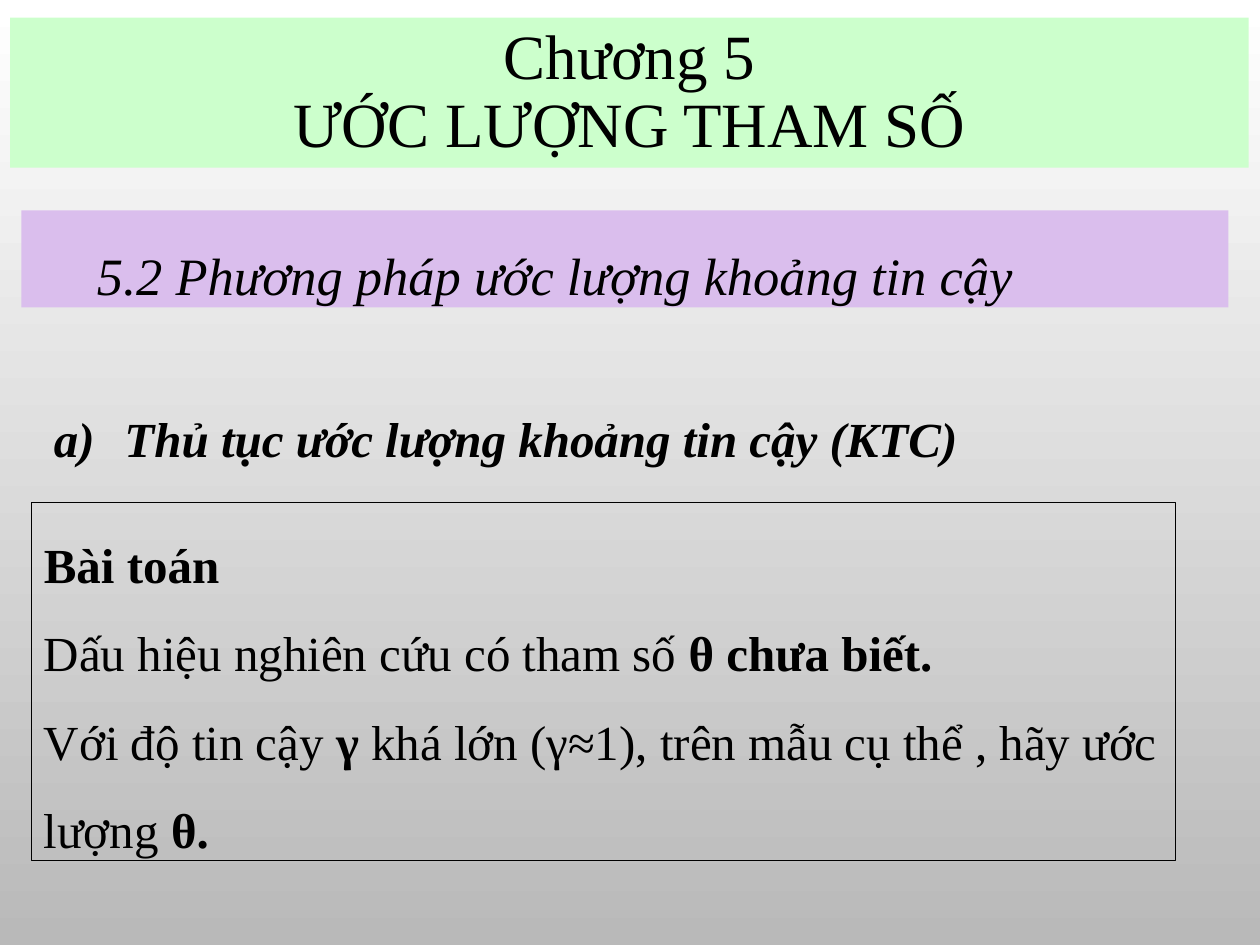
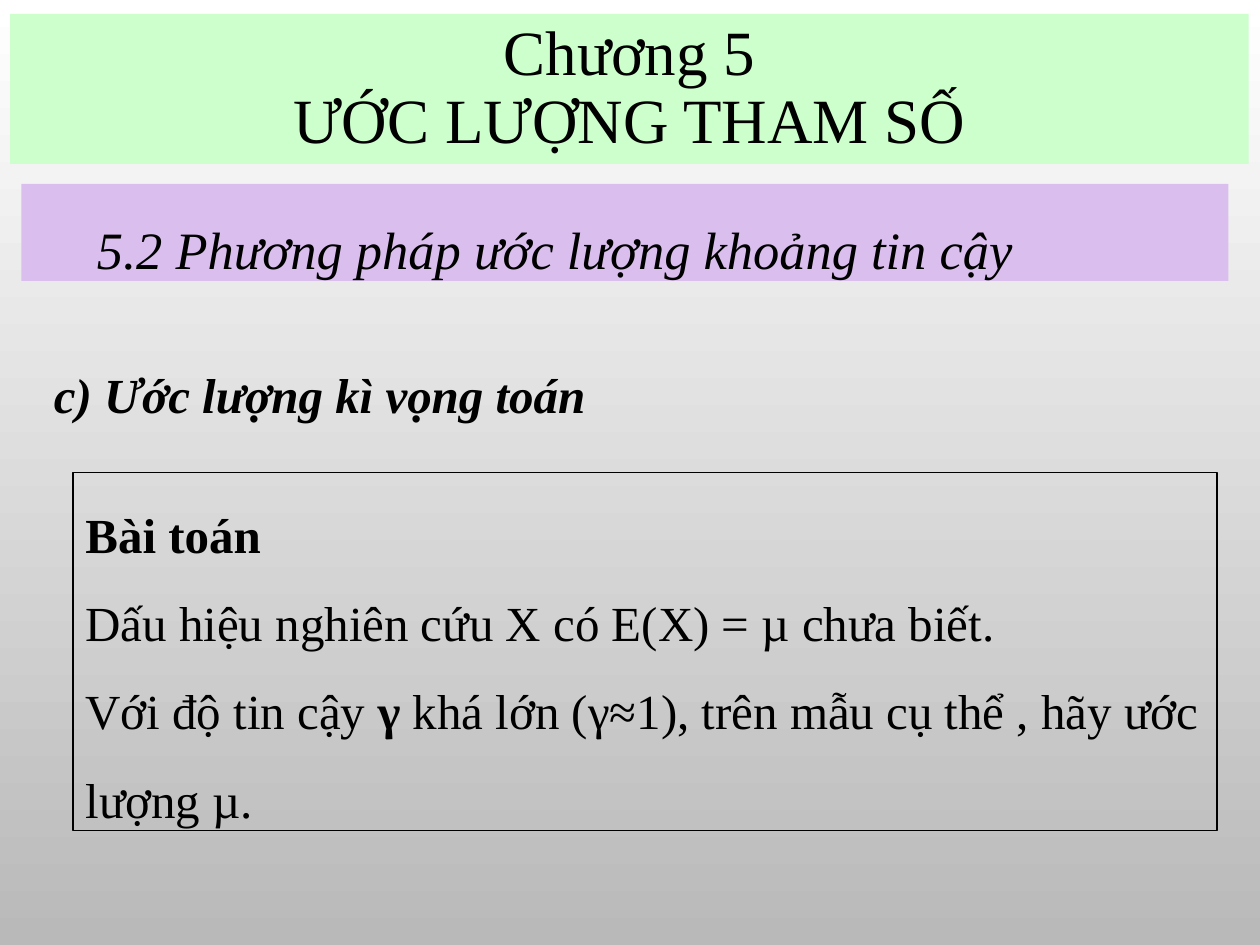
import copy

import pptx
import pptx.dml.color
import pptx.enum.shapes
import pptx.enum.text
import pptx.oxml
import pptx.oxml.ns
import pptx.util

Inches = pptx.util.Inches
Pt = pptx.util.Pt
PP_ALIGN = pptx.enum.text.PP_ALIGN

COLORS = {
    "text": "000000",
    "title_band": "CCFFCC",
    "section_band": "DABEED",
    "bg_top": "FFFFFF",
    "bg_bottom": "B9B9B9",
}
BODY = {"name": "Times New Roman", "size": Pt(28), "bold": False, "italic": False}
TITLE = {**BODY, "size": Pt(36)}
SECTION = {**BODY, "size": Pt(30), "italic": True}
HEADING = {**BODY, "bold": True, "italic": True}
FRAME = {
    "word_wrap": True,
    "vertical_anchor": pptx.enum.text.MSO_ANCHOR.MIDDLE,
    "auto_size": pptx.enum.text.MSO_AUTO_SIZE.SHAPE_TO_FIT_TEXT,
}
CHAPTER = "Chương 5\vƯỚC LƯỢNG THAM SỐ"
SECTION_NAME = "5.2 Phương pháp ước lượng khoảng tin cậy"


def rgb(key):
    return pptx.dml.color.RGBColor.from_string(COLORS[key])


def apply(target, values):
    for name, value in values.items():
        setattr(target, name, value)


def format_run(r, style):
    apply(r.font, style)
    r.font.color.rgb = rgb("text")


def format_paragraph(p, spacing=1.5, align=PP_ALIGN.LEFT, margin=0, indent=0):
    pPr = p._p.get_or_add_pPr()
    pPr.set("marL", str(Inches(margin)))
    pPr.set("indent", str(Inches(indent)))
    apply(p, {"line_spacing": spacing, "alignment": align})


def fill_shape(s, key):
    s.fill.solid()
    s.fill.fore_color.rgb = rgb(key)


def set_background(master):
    fill = master.background.fill
    fill.gradient()
    fill.gradient_angle = 270
    for stop, position, key in zip(fill.gradient_stops, (0, 1), ("bg_top", "bg_bottom")):
        stop.position = position
        stop.color.rgb = rgb(key)


def add_title(slide, top):
    sp = slide.shapes.title
    apply(sp, {"left": Inches(0.08), "top": Inches(top),
               "width": Inches(9.83), "height": Inches(1.19)})
    fill_shape(sp, "title_band")
    apply(sp.text_frame, FRAME)
    p = sp.text_frame.paragraphs[0]
    p.text = CHAPTER
    format_paragraph(p, spacing=0.9, align=PP_ALIGN.CENTER)
    for r in p.runs:
        format_run(r, TITLE)
    for br in p._p.findall(pptx.oxml.ns.qn("a:br")):
        br.append(copy.deepcopy(p.runs[0].font._element))


def add_rect(slide, left, top, width, height):
    sp = slide.shapes.add_shape(
        pptx.enum.shapes.MSO_SHAPE.RECTANGLE,
        Inches(left), Inches(top), Inches(width), Inches(height))
    sp.shadow.inherit = False
    apply(sp.text_frame, FRAME)
    return sp


def add_section_band(slide, top):
    sp = add_rect(slide, 0.17, top, 9.58, 0.77)
    fill_shape(sp, "section_band")
    sp.line.fill.background()
    p = sp.text_frame.paragraphs[0]
    r = p.add_run()
    r.text = SECTION_NAME
    format_paragraph(p, indent=0.5)
    format_run(r, SECTION)


def add_heading(slide, top, width, text, numbered=False):
    tb = slide.shapes.add_textbox(Inches(0.33), Inches(top), Inches(width), Inches(0.72))
    apply(tb.text_frame, FRAME)
    p = tb.text_frame.paragraphs[0]
    if numbered:
        bullet = pptx.oxml.parse_xml(
            f'<a:buAutoNum {pptx.oxml.ns.nsdecls("a")} type="alphaLcParenR"/>')
        p._p.get_or_add_pPr().append(bullet)
        format_paragraph(p, margin=0.56, indent=-0.56)
    else:
        format_paragraph(p)
    r = p.add_run()
    r.text = text
    format_run(r, HEADING)


def add_problem_box(slide, left, top, unknown, goal):
    sp = add_rect(slide, left, top, 9.08, 2.84)
    sp.fill.background()
    sp.line.color.rgb = rgb("text")
    sp.line.width = Pt(0.75)
    lines = [
        [("Bài toán", True)],
        unknown,
        [("Với độ tin cậy ", False), ("γ ", True), *goal],
    ]
    tf = sp.text_frame
    for i, runs in enumerate(lines):
        p = tf.add_paragraph() if i else tf.paragraphs[0]
        format_paragraph(p)
        for text, bold in runs:
            r = p.add_run()
            r.text = text
            format_run(r, {**BODY, "bold": bold})


def add_chapter_slide(prs, title_top, section_top):
    s = prs.slides.add_slide(prs.slide_layouts[5])
    add_title(s, title_top)
    add_section_band(s, section_top)
    return s


def main():
    prs = pptx.Presentation()
    prs.slide_width, prs.slide_height = Inches(10), Inches(7.5)
    set_background(prs.slide_master)
    request = "khá lớn (γ≈1), trên mẫu cụ thể , hãy ước lượng "

    s = add_chapter_slide(prs, 0.14, 1.67)
    add_heading(s, 3, 8.17, "Thủ tục ước lượng khoảng tin cậy (KTC)", numbered=True)
    add_problem_box(
        s, 0.25, 3.99,
        [("Dấu hiệu nghiên cứu có tham số ", False), ("θ chưa biết.", True)],
        [(request, False), ("θ.", True)])

    s = add_chapter_slide(prs, 0.11, 1.46)
    add_heading(s, 2.65, 5.5, "c) Ước lượng kì vọng toán")
    add_problem_box(
        s, 0.58, 3.75,
        [("Dấu hiệu nghiên cứu X có E(X) = µ chưa biết.", False)],
        [(request + "µ.", False)])

    prs.save("out.pptx")


if __name__ == "__main__":
    main()
